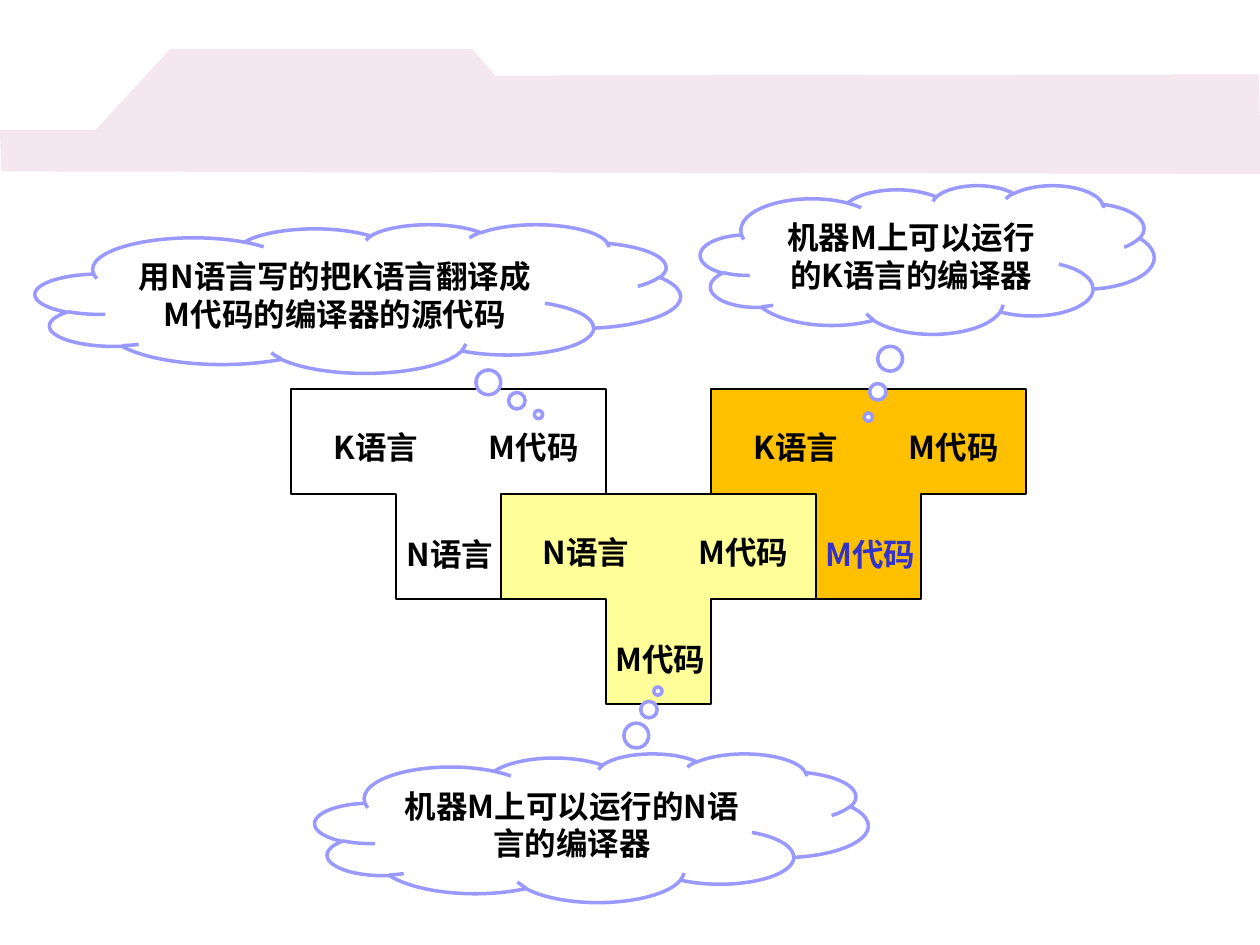
"""Build a slide of three interlocking T-diagrams that explain compiler bootstrapping."""
from dataclasses import dataclass

import lxml.etree
import pptx
import pptx.dml.color
import pptx.enum.shapes
import pptx.enum.text
import pptx.oxml.ns
import pptx.util

RGBColor = pptx.dml.color.RGBColor
BLACK = RGBColor(0x00, 0x00, 0x00)
WHITE = RGBColor(0xFF, 0xFF, 0xFF)
YELLOW = RGBColor(0xFF, 0xFF, 0x99)
ORANGE = RGBColor(0xFF, 0xC0, 0x00)
BLUE = RGBColor(0x33, 0x33, 0xCC)
LAVENDER = RGBColor(0x99, 0x99, 0xFF)
PINK = RGBColor(0xF4, 0xE7, 0xED)

FONT = "Noto Sans CJK SC"
FONT_FORMAT = {"name": FONT, "size": pptx.util.Pt(18), "bold": True}
SLIDE_WIDTH = pptx.util.Inches(10)
SLIDE_HEIGHT = pptx.util.Inches(7.5)
COLUMN = SLIDE_WIDTH / 100
ROW = SLIDE_HEIGHT / 75
CELL = SLIDE_WIDTH / 12
DIAGRAM_LEFT = 23.1 * COLUMN
DIAGRAM_TOP = 30.9 * ROW

BAND_OUTLINE = [(0, 10.3), (7.6, 10.3), (13.5, 3.9), (37.5, 3.9),
                (39.3, 6), (99.9, 5.9), (100.1, 13.8), (0.1, 13.6)]
T_OUTLINE = [(0, 0), (3, 0), (3, 1), (2, 1), (2, 2), (1, 2), (1, 1), (0, 1)]
TARGET_SHARES = (0.57, 0.1, 0.4, 0.35)
HOST_SHARES = (0.37, 0.65, 0.27, 0.3)
SOURCE_SHARES = (0.07, 0.1, 0.4, 0.35)


@dataclass
class Box:
    """A rectangle on the slide, in EMU."""
    left: float
    top: float
    width: float
    height: float

    def inner(self, left, top, width, height):
        """Return the box that covers the given shares of this one."""
        return Box(self.left + left * self.width, self.top + top * self.height,
                   width * self.width, height * self.height)

    def rounded(self):
        """Return left, top, width and height as whole EMU."""
        return [round(value) for value in (self.left, self.top, self.width, self.height)]


def paint(shape, fill, line=None, weight=1):
    """Set the fill and outline of a shape and drop its shadow."""
    shape.shadow.inherit = False
    shape.fill.solid()
    shape.fill.fore_color.rgb = fill
    if line is None:
        shape.line.fill.background()
    else:
        shape.line.color.rgb = line
        shape.line.width = pptx.util.Pt(weight)


def write(shape, text, color=BLACK, spacing=None, **frame_format):
    """Write one centred bold paragraph into a shape."""
    frame = shape.text_frame
    frame_format["vertical_anchor"] = pptx.enum.text.MSO_ANCHOR.MIDDLE
    for name, value in frame_format.items():
        setattr(frame, name, value)
    paragraph = frame.paragraphs[0]
    paragraph.alignment = pptx.enum.text.PP_ALIGN.CENTER
    paragraph.line_spacing = spacing
    run = paragraph.add_run()
    run.text = text
    for name, value in FONT_FORMAT.items():
        setattr(run.font, name, value)
    run.font.color.rgb = color
    properties = run._r.get_or_add_rPr()
    lxml.etree.SubElement(properties, pptx.oxml.ns.qn("a:ea")).set("typeface", FONT)


def add_outline(shapes, points, box, unit_width, unit_height):
    """Draw a closed outline whose points count units from the box corner."""
    corners = [(round(box.left + x * unit_width), round(box.top + y * unit_height))
               for x, y in points]
    builder = shapes.build_freeform(*corners[0])
    builder.add_line_segments(corners[1:], close=True)
    return builder.convert_to_shape()


def add_header_band(slide, box):
    """Draw the stepped band across the top."""
    paint(add_outline(slide.shapes, BAND_OUTLINE, box, COLUMN, ROW), PINK)


def add_t_diagram(slide, box, fill, source, host, target, host_color=BLACK):
    """Draw a T-diagram with its source, target and host languages."""
    shapes = slide.shapes.add_group_shape().shapes
    paint(add_outline(shapes, T_OUTLINE, box, CELL, CELL), fill, BLACK)
    labels = [(target, TARGET_SHARES, BLACK, None),
              (host, HOST_SHARES, host_color, 0.8),
              (source, SOURCE_SHARES, BLACK, None)]
    for text, shares, color, spacing in labels:
        label = shapes.add_shape(pptx.enum.shapes.MSO_SHAPE.RECTANGLE,
                                 *box.inner(*shares).rounded())
        paint(label, fill)
        write(label, text, color, spacing, word_wrap=False, margin_left=0, margin_right=0)


def add_thought_cloud(slide, box, text, tail):
    """Draw a thought cloud whose tail is given in shares of its box."""
    cloud = slide.shapes.add_shape(pptx.enum.shapes.MSO_SHAPE.CLOUD_CALLOUT, *box.rounded())
    for index, share in enumerate(tail):
        cloud.adjustments[index] = share
    paint(cloud, WHITE, LAVENDER, 2)
    write(cloud, text, word_wrap=True)


def main():
    """Build and save the slide."""
    presentation = pptx.Presentation()
    presentation.slide_width = SLIDE_WIDTH
    presentation.slide_height = SLIDE_HEIGHT
    slide = presentation.slides.add_slide(presentation.slide_layouts[6])
    add_header_band(slide, Box(0, 0, SLIDE_WIDTH, SLIDE_HEIGHT))

    diagrams = [(2, 1, YELLOW, "N语言", "M代码", BLACK),
                (0, 0, WHITE, "K语言", "N语言", BLACK),
                (4, 0, ORANGE, "K语言", "M代码", BLUE)]
    for column, row, fill, source, host, host_color in diagrams:
        box = Box(DIAGRAM_LEFT + column * CELL, DIAGRAM_TOP + row * CELL, 3 * CELL, 2 * CELL)
        add_t_diagram(slide, box, fill, source, host, "M代码", host_color)

    clouds = [(25, 59.8, 43.9, "机器M上可以运行的N语言的编译器", (0.12, -0.92)),
              (55.6, 14.7, 36, "机器M上可以运行的K语言的编译器", (-0.13, 1.06)),
              (2.8, 17.8, 51.2, "用N语言写的把K语言翻译成M代码的编译器的源代码", (0.28, 0.78))]
    for left, top, width, text, tail in clouds:
        box = Box(left * COLUMN, top * ROW, width * COLUMN, 11.8 * ROW)
        add_thought_cloud(slide, box, text, tail)
    presentation.save("out.pptx")


if __name__ == "__main__":
    main()
